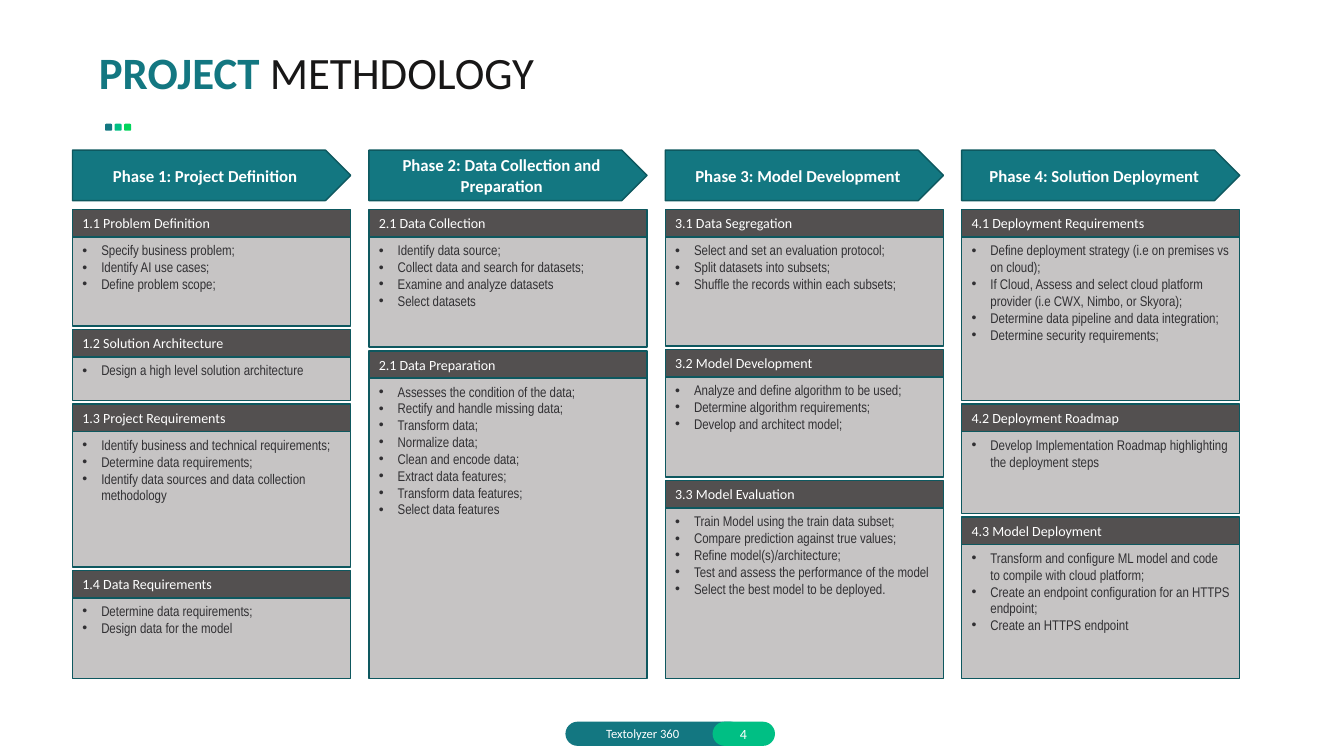
"""Build the project methodology slide with four phase columns."""
from dataclasses import dataclass

from lxml.etree import SubElement
from pptx import Presentation
from pptx.dml.color import RGBColor
from pptx.enum.shapes import MSO_SHAPE as Preset
from pptx.enum.text import MSO_ANCHOR as Anchor, MSO_AUTO_SIZE as AutoSize, PP_ALIGN as Align
from pptx.oxml.ns import qn
from pptx.shapes.autoshape import Shape
from pptx.slide import Slide
from pptx.text.text import TextFrame, _Paragraph as Paragraph
from pptx.util import Pt

COLORS = {
    "teal": "137781",
    "green": "00BF84",
    "lime": "00D55B",
    "outline": "0E585F",
    "header": "535050",
    "body": "C6C4C4",
    "ink": "313033",
    "title": "181717",
    "white": "FFFFFF",
}
LEFT, PITCH, WIDTH = 51.8, 211.7, 198.7
PHASE_TOP, PHASE_HEIGHT = 107.3, 36
HEADER_HEIGHT, GAP, BOTTOM = 19.5, 2.6, 484.8
BULLET_INDENT = 13.5


@dataclass(frozen=True)
class Box:
    left: float
    top: float
    width: float
    height: float


@dataclass(frozen=True)
class Style:
    font: str
    size: float
    color: str
    bold: bool = False


@dataclass(frozen=True)
class Section:
    top: float
    heading: str
    tasks: tuple[str, ...]


@dataclass(frozen=True)
class Phase:
    name: str
    sections: tuple[Section, ...]


PHASE_STYLE = Style("Calibri", 12, "white", True)
HEADER_STYLE = Style("Calibri", 10, "white")
TASK_STYLE = Style("Arial Narrow", 10, "ink")
FOOTER_STYLE = Style("Calibri", 9, "white")

PHASES = (
    Phase("Phase 1: Project Definition", (
        Section(149.8, "1.1 Problem Definition", (
            "Specify business problem;", "Identify AI use cases;", "Define problem scope;")),
        Section(235.4, "1.2 Solution Architecture", (
            "Design a high level solution architecture",)),
        Section(288.7, "1.3 Project Requirements", (
            "Identify business and technical requirements;",
            "Determine data requirements;",
            "Identify data sources and data collection methodology")),
        Section(407.5, "1.4 Data Requirements", (
            "Determine data requirements;", "Design data for the model")),
    )),
    Phase("Phase 2: Data Collection and Preparation", (
        Section(149.8, "2.1 Data Collection", (
            "Identify data source;", "Collect data and search for datasets;",
            "Examine and analyze datasets", "Select datasets")),
        Section(250.6, "2.1 Data Preparation", (
            "Assesses the condition of the data;", "Rectify and handle missing data;",
            "Transform data;", "Normalize data;", "Clean and encode data;",
            "Extract data features;", "Transform data features;", "Select data features")),
    )),
    Phase("Phase 3: Model Development", (
        Section(149.8, "3.1 Data Segregation", (
            "Select and set an evaluation protocol;", "Split datasets into subsets;",
            "Shuffle the records within each subsets;")),
        Section(249.8, "3.2 Model Development", (
            "Analyze and define algorithm to be used;",
            "Determine algorithm requirements;", "Develop and architect model;")),
        Section(343.4, "3.3 Model Evaluation", (
            "Train Model using the train data subset;",
            "Compare prediction against true values;", "Refine model(s)/architecture;",
            "Test and assess the performance of the model",
            "Select the best model to be deployed.")),
    )),
    Phase("Phase 4: Solution Deployment", (
        Section(149.8, "4.1 Deployment Requirements", (
            "Define deployment strategy (i.e on premises vs on cloud);",
            "If Cloud, Assess and select cloud platform provider (i.e CWX, Nimbo, or Skyora);",
            "Determine data pipeline and data integration;",
            "Determine security requirements;")),
        Section(288.7, "4.2 Deployment Roadmap", (
            "Develop Implementation Roadmap highlighting the deployment steps",)),
        Section(369.4, "4.3 Model Deployment", (
            "Transform and configure ML model and code to compile with cloud platform;",
            "Create an endpoint configuration for an HTTPS endpoint;",
            "Create an HTTPS endpoint")),
    )),
)


def rgb(name: str) -> RGBColor:
    return RGBColor.from_string(COLORS[name])


def format_runs(para: Paragraph, style: Style) -> None:
    for span in para.runs:
        span.font.name = style.font
        span.font.size = Pt(style.size)
        span.font.bold = style.bold
        span.font.color.rgb = rgb(style.color)


def write(frame: TextFrame, text: str, style: Style, align: Align, anchor: Anchor) -> None:
    frame.text = text
    frame.vertical_anchor = anchor
    for para in frame.paragraphs:
        para.alignment = align
        format_runs(para, style)


def add_bullet(para: Paragraph) -> None:
    props = para._p.get_or_add_pPr()
    props.set("marL", str(Pt(BULLET_INDENT)))
    props.set("indent", str(-Pt(BULLET_INDENT)))
    SubElement(props, qn("a:buFont")).set("typeface", "Arial")
    SubElement(props, qn("a:buChar")).set("char", "•")


def add_block(page: Slide, preset: Preset, box: Box, fill: str, outline: str = "") -> Shape:
    block = page.shapes.add_shape(
        preset, Pt(box.left), Pt(box.top), Pt(box.width), Pt(box.height))
    block.shadow.inherit = False
    block.fill.solid()
    block.fill.fore_color.rgb = rgb(fill)
    if outline:
        block.line.color.rgb = rgb(outline)
        block.line.width = Pt(1)
    else:
        block.line.fill.background()
    return block


def add_label(page: Slide, box: Box, text: str, style: Style, wrap: bool) -> None:
    label = page.shapes.add_textbox(Pt(box.left), Pt(box.top), Pt(box.width), Pt(box.height))
    label.text_frame.word_wrap = wrap
    write(label.text_frame, text, style, Align.CENTER, Anchor.MIDDLE)


def add_title(page: Slide) -> None:
    title = page.shapes.title
    title.left, title.top, title.width, title.height = Pt(63.4), Pt(28), Pt(326), Pt(46)
    frame = title.text_frame
    frame.word_wrap = False
    frame.auto_size = AutoSize.NONE
    write(frame, "PROJECT ", Style("Calibri", 32, "teal", True), Align.LEFT, Anchor.TOP)
    topic = frame.paragraphs[0].add_run()
    topic.text = "METHDOLOGY"
    topic.font.name, topic.font.size, topic.font.bold = "Calibri", Pt(32), False
    topic.font.color.rgb = rgb("title")


def add_phase(page: Slide, phase: Phase, left: float) -> None:
    arrow = add_block(page, Preset.PENTAGON, Box(left, PHASE_TOP, WIDTH, PHASE_HEIGHT),
                      "teal", "outline")
    write(arrow.text_frame, phase.name, PHASE_STYLE, Align.CENTER, Anchor.MIDDLE)
    ends = [section.top - GAP for section in phase.sections[1:]] + [BOTTOM]
    for section, end in zip(phase.sections, ends):
        header = add_block(page, Preset.RECTANGLE,
                           Box(left, section.top, WIDTH, HEADER_HEIGHT), "header", "outline")
        write(header.text_frame, section.heading, HEADER_STYLE, Align.LEFT, Anchor.MIDDLE)
        body_top = section.top + HEADER_HEIGHT
        body = add_block(page, Preset.RECTANGLE,
                         Box(left, body_top, WIDTH, end - body_top), "body", "outline")
        write(body.text_frame, "\n".join(section.tasks), TASK_STYLE, Align.LEFT, Anchor.TOP)
        for para in body.text_frame.paragraphs:
            add_bullet(para)


def add_footer(page: Slide) -> None:
    for box, fill in ((Box(403.9, 515.5, 126.7, 17.3), "teal"),
                      (Box(509, 515.5, 44.6, 17.3), "green")):
        add_block(page, Preset.ROUNDED_RECTANGLE, box, fill).adjustments[0] = 0.5
    add_label(page, Box(424.8, 514.8, 68.4, 18), "Textolyzer 360", FOOTER_STYLE, False)
    add_label(page, Box(511.9, 509.8, 38.2, 28.8), "4", HEADER_STYLE, True)


def main() -> None:
    deck = Presentation()
    deck.slide_width, deck.slide_height = Pt(960), Pt(540)
    page = deck.slides.add_slide(deck.slide_layouts[5])
    add_title(page)
    add_footer(page)
    for index, fill in enumerate(("teal", "green", "lime")):
        add_block(page, Preset.ROUNDED_RECTANGLE, Box(75.1 + 6.8 * index, 88.4, 5, 5), fill)
    for index, phase in enumerate(PHASES):
        add_phase(page, phase, LEFT + PITCH * index)
    deck.save("out.pptx")


if __name__ == "__main__":
    main()
